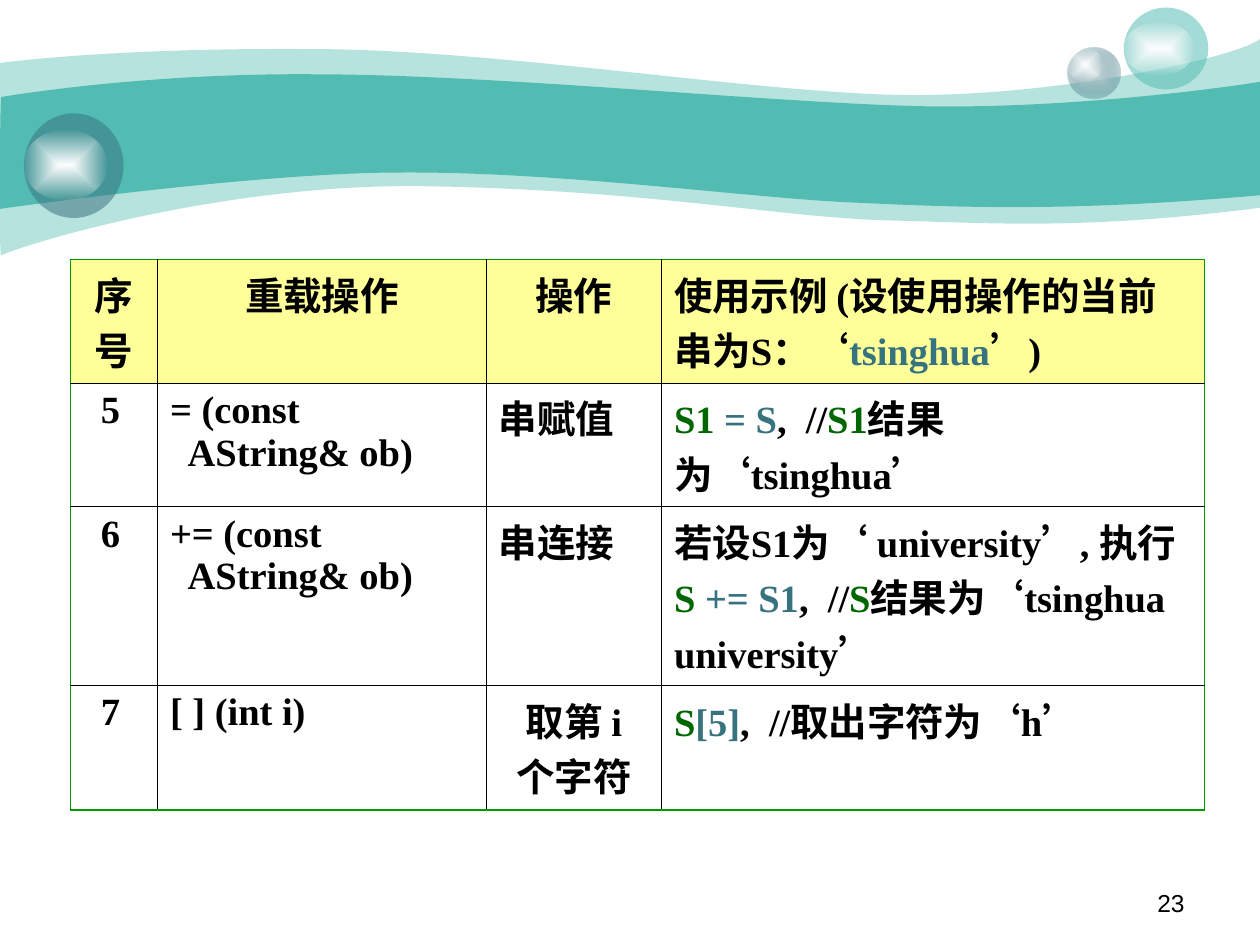
"""Build the slide with the table of overloaded string operators."""
from lxml import etree
from pptx import Presentation
from pptx.dml.color import RGBColor
from pptx.enum.shapes import MSO_SHAPE
from pptx.enum.text import PP_ALIGN
from pptx.oxml import parse_xml
from pptx.oxml.ns import nsdecls, qn
from pptx.util import Emu, Pt

PX = 9144
OVAL = MSO_SHAPE.OVAL
LEFT, CENTER, RIGHT = PP_ALIGN.LEFT, PP_ALIGN.CENTER, PP_ALIGN.RIGHT
COLORS = {
    "black": "000000", "white": "FFFFFF", "teal": "52BCB2", "slate": "37737F",
    "mist": "CCDBDE", "green": "006600", "frame": "009900", "header": "FFFF99",
}


def paint(shape, stops):
    """Fill with one colour, or with a centred gradient of two."""
    tints = [f'<a:srgbClr val="{COLORS[name]}"><a:alpha val="{alpha * 1000}"/></a:srgbClr>'
             for name, alpha in stops]
    if len(tints) == 1:
        xml = f'<a:solidFill {nsdecls("a")}>{tints[0]}</a:solidFill>'
    else:
        xml = (f'<a:gradFill {nsdecls("a")} rotWithShape="1"><a:gsLst>'
               f'<a:gs pos="0">{tints[0]}</a:gs><a:gs pos="100000">{tints[1]}</a:gs></a:gsLst>'
               '<a:path path="rect"><a:fillToRect l="50000" t="50000" r="50000" b="50000"/>'
               '</a:path></a:gradFill>')
    shape.fill.background()
    properties = shape._element.spPr
    properties.replace(properties.find(qn("a:noFill")), parse_xml(xml))
    shape.line.fill.background()
    shape.shadow.inherit = False


def add_run(paragraph, text, size, font, color="black", bold=False):
    run = paragraph.add_run()
    run.text = text
    run.font.size, run.font.name, run.font.bold = Pt(size), font, bold
    run.font.color.rgb = RGBColor.from_string(COLORS[color])


prs = Presentation()
prs.slide_width, prs.slide_height = Emu(1000 * PX), Emu(750 * PX)
slide = prs.slides.add_slide(prs.slide_layouts[6])

# Each wave edge is a start point, then curves (three points) or lines (one point).
waves = [
    (41, (0, 50), [
        [(24, 47), (107, 38), (247, 39)], [(386, 39), (575, 70), (699, 75)],
        [(822, 80), (980, 47), (1000, 31)], [(1000, 165)],
        [(858, 183), (787, 177), (705, 175)], [(622, 173), (515, 151), (343, 148)],
        [(172, 144), (4, 199), (1, 203)], [(-1, 208), (0, 75), (0, 50)]]),
    (100, (1, 77), [
        [(2, 77), (110, 58), (248, 59)], [(386, 59), (595, 80), (718, 84)],
        [(841, 88), (976, 69), (1000, 65)], [(1000, 155)],
        [(853, 168), (765, 165), (682, 161)], [(599, 158), (447, 136), (317, 137)],
        [(203, 137), (-2, 166), (-1, 166)], [(0, 166), (0, 77), (1, 77)]]),
]
for alpha, start, edges in waves:
    builder = slide.shapes.build_freeform(*start, scale=PX)
    builder.add_line_segments([point for edge in edges for point in edge], close=True)
    wave = builder.convert_to_shape()
    segments = iter(list(wave._element.spPr.iter(qn("a:lnTo"))))
    for edge in edges:
        parts = [next(segments) for point in edge]
        if len(parts) == 3:
            curve = etree.Element(qn("a:cubicBezTo"))
            parts[0].addprevious(curve)
            for part in parts:
                curve.append(part[0])
                part.getparent().remove(part)
    paint(wave, [("teal", alpha)])

glow = [("white", 100), ("white", 0)]
bubbles = [
    ((847, 38, 42, 40), [("mist", 100), ("slate", 31)]),
    ((847, 38, 28, 27), glow),
    ((892, 6, 67, 65), [("teal", 53)]),
    ((892, 17, 56, 43), glow),
    ((19, 90, 79, 83), [("slate", 53)]),
    ((19, 103, 66, 56), glow),
]
for box, stops in bubbles:
    paint(slide.shapes.add_shape(OVAL, *(Emu(v * PX) for v in box)), stops)

page_number = slide.shapes.add_textbox(*(Emu(v * PX) for v in (717, 700, 233, 35))).text_frame
page_number.word_wrap = True
page_number.paragraphs[0].alignment = RIGHT
add_run(page_number.paragraphs[0], "23", 14, "Arial")

# A cell is its alignment and its paragraphs; a paragraph is a list of (text, colour) runs.
signature_tail = [("AString& ob)", "black")]
rows = [
    [(CENTER, [[("序", "black")], [("号", "black")]]),
     (CENTER, [[("重载操作", "black")]]),
     (CENTER, [[("操作", "black")]]),
     (LEFT, [[("使用示例 (设使用操作的当前串为S：‘", "black"), ("tsinghua", "slate"),
              ("’)", "black")]])],
    [(LEFT, [[("5", "black")]]),
     (LEFT, [[("= (const", "black")], signature_tail]),
     (LEFT, [[("串赋值", "black")]]),
     (LEFT, [[("S1 ", "green"), ("= S", "slate"), (",  //", "black"), ("S1", "green"),
              ("结果为‘tsinghua’", "black")]])],
    [(LEFT, [[("6", "black")]]),
     (LEFT, [[("+= (const", "black")], signature_tail]),
     (LEFT, [[("串连接", "black")]]),
     (LEFT, [[("若设S1为‘ university’, 执行", "black"), ("S ", "green"), ("+= S1", "slate"),
              (",  //", "black"), ("S", "green"), ("结果为‘tsinghua university’", "black")]])],
    [(LEFT, [[("7", "black")]]),
     (LEFT, [[("[ ] (int i)", "black")]]),
     (CENTER, [[("取第 i", "black")], [("个字符", "black")]]),
     (LEFT, [[("S", "green"), ("[5]", "slate"), (",  //取出字符为‘h’", "black")]])],
]
widths, heights = (69, 261, 139, 431), (98, 98, 142, 99)
operators = slide.shapes.add_table(
    len(rows), len(widths), *(Emu(v * PX) for v in (56, 206, sum(widths), sum(heights)))).table
operators.first_row = operators.horz_banding = False
for column, width in zip(operators.columns, widths):
    column.width = Emu(width * PX)
for row, height in zip(operators.rows, heights):
    row.height = Emu(height * PX)

for r, row in enumerate(rows):
    for c, (alignment, paragraphs) in enumerate(row):
        cell = operators.cell(r, c)
        properties = cell._tc.get_or_add_tcPr()
        outer = {"lnL": c == 0, "lnR": c == len(widths) - 1,
                 "lnT": r == 0, "lnB": r == len(rows) - 1}
        for side, on_frame in outer.items():
            border = etree.SubElement(properties, qn(f"a:{side}"))
            border.set("w", str(Pt(1.08 if on_frame else 0.45)))
            ink = etree.SubElement(etree.SubElement(border, qn("a:solidFill")), qn("a:srgbClr"))
            ink.set("val", COLORS["frame" if on_frame else "black"])
        cell.fill.solid()
        cell.fill.fore_color.rgb = RGBColor.from_string(COLORS["white" if r else "header"])
        for index, runs in enumerate(paragraphs):
            frame = cell.text_frame
            paragraph = frame.add_paragraph() if index else frame.paragraphs[0]
            paragraph.alignment = alignment
            if runs is signature_tail or (r and c == 0):
                paragraph._p.get_or_add_pPr().set("marL", str(14 * PX))
            for text, color in runs:
                add_run(paragraph, text, 22, "Times New Roman", color, True)

prs.save("out.pptx")
